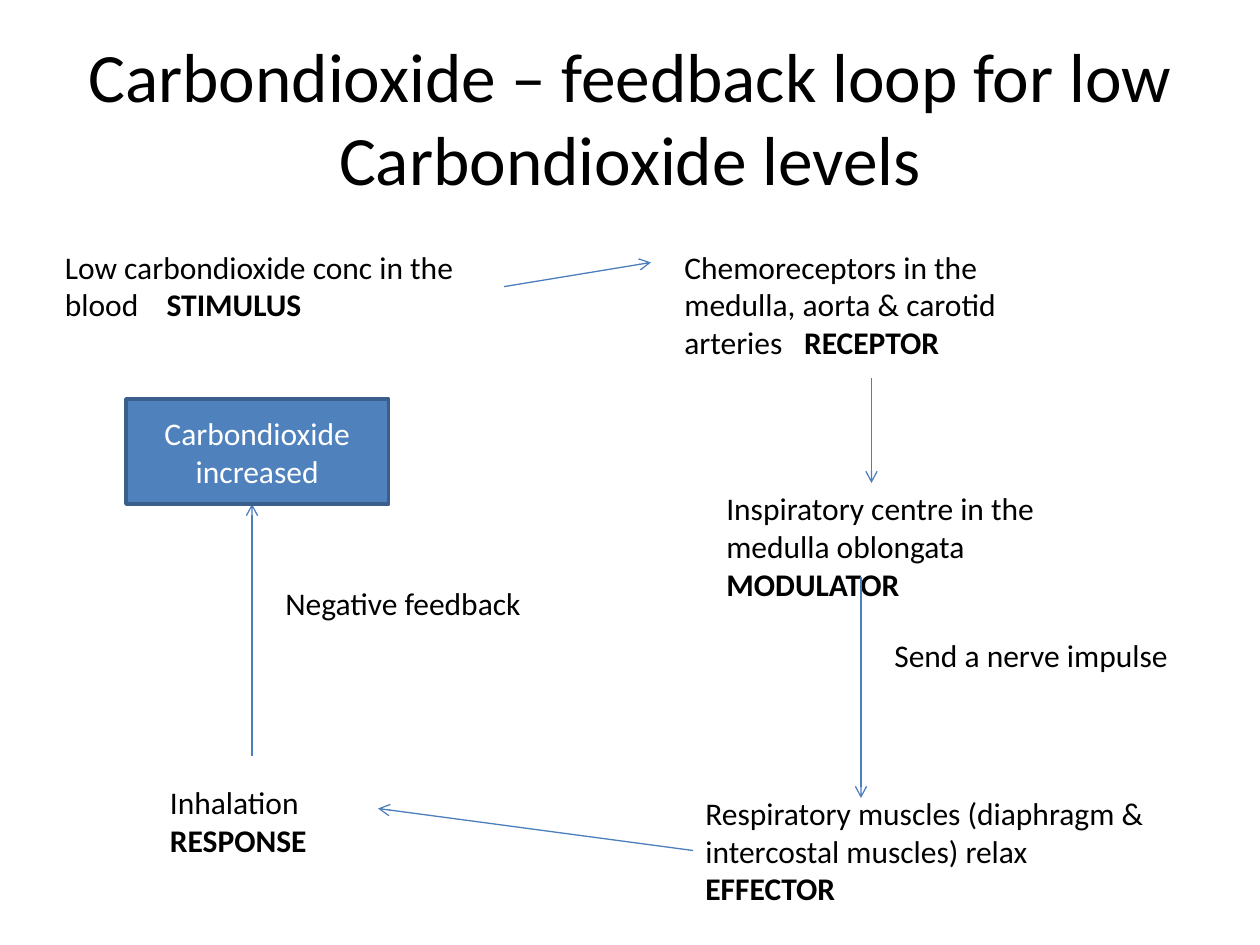
from lxml.etree import SubElement
from pptx import Presentation
from pptx.dml.color import RGBColor
from pptx.enum.shapes import MSO_CONNECTOR, MSO_SHAPE
from pptx.enum.text import MSO_ANCHOR, PP_ALIGN
from pptx.oxml.ns import qn
from pptx.util import Pt

EMU_PER_PX = 7620  # 120 px to the inch
BLACK, WHITE = "000000", "FFFFFF"
BLUE, DARK_BLUE, ARROW_BLUE = "4F81BD", "3A5F8C", "4B7EBC"

# place, description, role in the loop, tab stop before the role
STAGES = [
    ((50, 230, 430, 85), "Low carbondioxide conc in the blood", "STIMULUS", 97),
    ((640, 230, 360, 121), "Chemoreceptors in the medulla, aorta & carotid arteries", "RECEPTOR", 114),
    ((680, 460, 410, 121), "Inspiratory centre in the medulla oblongata", "MODULATOR", None),
    ((660, 750, 450, 121), "Respiratory muscles (diaphragm & intercostal muscles) relax", "EFFECTOR", None),
    ((150, 740, 220, 85), "Inhalation", "RESPONSE", None),
]
NOTES = [
    ((840, 600, 300, 48), "Send a nerve impulse"),
    ((260, 550, 260, 50), "Negative feedback"),
]
ARROWS = [
    ((480, 273), (620, 250)),
    ((830, 360), (830, 460)),
    ((820, 550), (820, 760)),
    ((660, 810), (360, 770)),
    ((240, 720), (240, 480)),
]


def px(*lengths):
    return [length * EMU_PER_PX for length in lengths]


def color(value):
    return RGBColor.from_string(value)


def style(span, size, fill):
    span.font.name = "Calibri"
    span.font.size = Pt(size)
    span.font.color.rgb = color(fill)


def add_label(page, place, text, size=18):
    box = page.shapes.add_textbox(*px(*place))
    box.text_frame.word_wrap = True
    box.text_frame.text = text
    para = box.text_frame.paragraphs[0]
    style(para.runs[0], size, BLACK)
    return box, para


def add_stage(page, place, text, role, tab_stop):
    gap = " " if tab_stop is None else "\t"
    _, para = add_label(page, place, text + gap)
    if tab_stop is not None:
        properties = para._p.get_or_add_pPr()
        tabs = SubElement(properties, qn("a:tabLst"))
        SubElement(tabs, qn("a:tab"), pos=str(px(tab_stop)[0]), algn="l")
    span = para.add_run()
    span.text = role
    style(span, 18, BLACK)
    span.font.bold = True


def add_title(page, place, text):
    box, para = add_label(page, place, text, 39.6)
    box.text_frame.vertical_anchor = MSO_ANCHOR.MIDDLE
    para.alignment = PP_ALIGN.CENTER


def add_arrow(page, start, end):
    arrow = page.shapes.add_connector(MSO_CONNECTOR.STRAIGHT, *px(*start, *end))
    arrow.line.color.rgb = color(ARROW_BLUE)
    arrow.line.width = Pt(0.75)
    SubElement(arrow.line._get_or_add_ln(), qn("a:tailEnd"), type="arrow")
    SubElement(arrow._element.spPr, qn("a:effectLst"))


def add_result(page, place, text):
    box = page.shapes.add_shape(MSO_SHAPE.RECTANGLE, *px(*place))
    box.shadow.inherit = False
    box.fill.solid()
    box.fill.fore_color.rgb = color(BLUE)
    box.line.color.rgb = color(DARK_BLUE)
    box.line.width = Pt(2)
    box.text_frame.word_wrap = True
    box.text_frame.vertical_anchor = MSO_ANCHOR.MIDDLE
    box.text_frame.text = text
    para = box.text_frame.paragraphs[0]
    para.alignment = PP_ALIGN.CENTER
    style(para.runs[0], 18, WHITE)


def main():
    deck = Presentation()
    deck.slide_width, deck.slide_height = px(1200, 900)
    page = deck.slides.add_slide(deck.slide_layouts[6])
    add_title(page, (60, 36, 1080, 150),
              "Carbondioxide – feedback loop for low Carbondioxide levels")
    for stage in STAGES:
        add_stage(page, *stage)
    for place, text in NOTES:
        add_label(page, place, text)
    for start, end in ARROWS:
        add_arrow(page, start, end)
    add_result(page, (120, 380, 250, 100), "Carbondioxide increased")
    deck.save("out.pptx")


if __name__ == "__main__":
    main()
